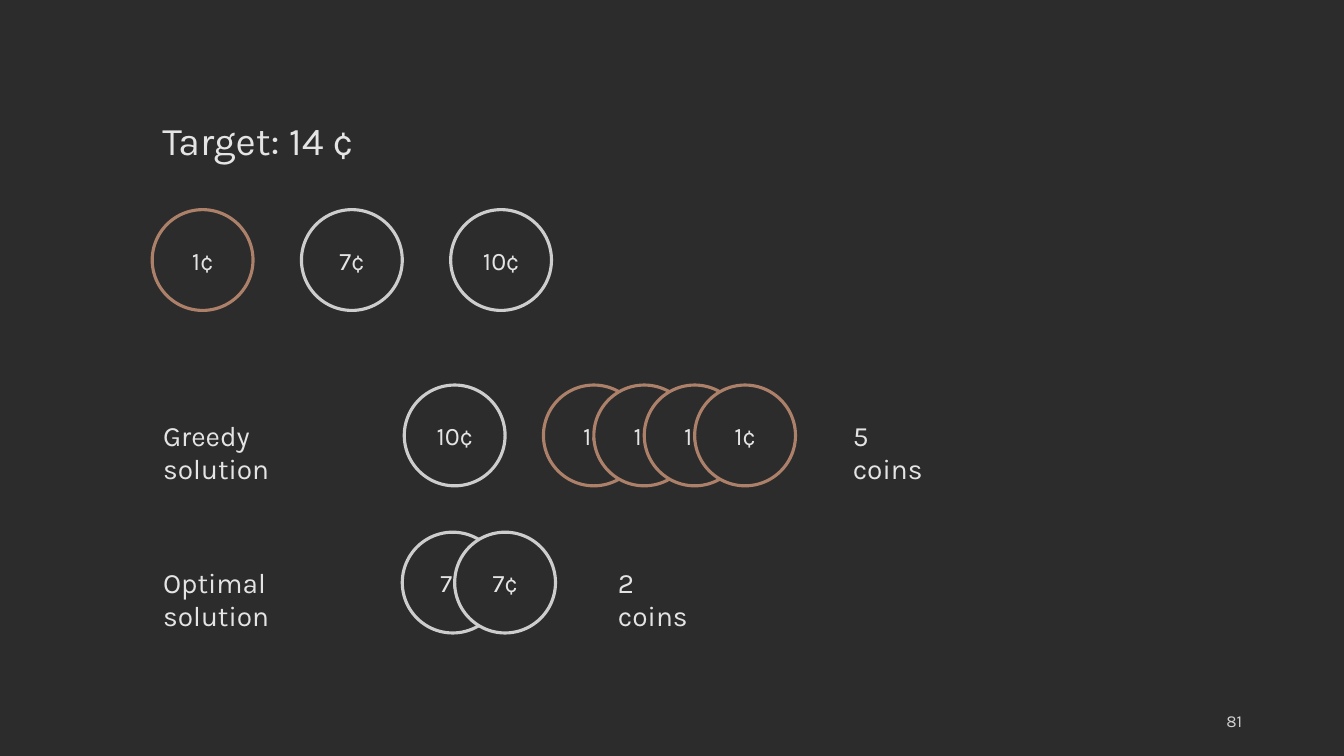
from dataclasses import dataclass

from pptx import Presentation
from pptx.dml.color import RGBColor
from pptx.enum.shapes import MSO_SHAPE
from pptx.enum.text import MSO_ANCHOR, MSO_AUTO_SIZE, PP_ALIGN
from pptx.util import Inches, Pt

# Content: a coin group is (value, count, left, step)
TARGET = "Target: 14 ¢"
PAGE_NUMBER = "81"
DENOMINATIONS = [1, 7, 10]
SOLUTIONS = [
    {"name": "Greedy solution", "name_width": 2.11, "top": 3.82,
     "groups": [(10, 1, 4.01, 0), (1, 4, 5.39, 0.5)],
     "total": "5 coins", "total_left": 8.36},
    {"name": "Optimal solution", "name_width": 2.23, "top": 5.28,
     "groups": [(7, 2, 3.99, 0.52)],
     "total": "2 coins", "total_left": 6.03},
]


@dataclass(frozen=True)
class Theme:
    font: str = "Karla"
    background: str = "2C2C2C"
    text: str = "E4E4E4"
    muted: str = "D1D1D1"
    copper: str = "AD8069"
    silver: str = "CDCDCD"
    title_size: int = 28
    label_size: int = 20
    coin_size: int = 18
    page_size: int = 12
    outline: float = 2.25


THEME = Theme()

# Layout, in inches
COIN = 1
DENOMINATION_LEFT, DENOMINATION_TOP, DENOMINATION_STEP = 1.51, 2.08, 1.48
LABEL_LEFT, LABEL_DROP, LABEL_HEIGHT = 1.52, 0.28, 0.44
TOTAL_WIDTH = 1.07


def color(value):
    return RGBColor.from_string(value)


def write(shape, text, *, size, ink=THEME.text, align=PP_ALIGN.LEFT,
          anchor=MSO_ANCHOR.TOP):
    frame = shape.text_frame
    frame.word_wrap = True
    frame.auto_size = MSO_AUTO_SIZE.NONE
    frame.vertical_anchor = anchor
    paragraph = frame.paragraphs[0]
    paragraph.alignment = align
    run = paragraph.add_run()
    run.text = text
    run.font.name = THEME.font
    run.font.size = Pt(size)
    run.font.color.rgb = color(ink)


def add_label(slide, text, left, top, width, height=LABEL_HEIGHT,
              size=THEME.label_size, **style):
    label = slide.shapes.add_textbox(
        Inches(left), Inches(top), Inches(width), Inches(height))
    write(label, text, size=size, **style)


def add_coin(slide, value, left, top):
    coin = slide.shapes.add_shape(
        MSO_SHAPE.OVAL, Inches(left), Inches(top), Inches(COIN), Inches(COIN))
    coin.shadow.inherit = False
    coin.fill.solid()
    coin.fill.fore_color.rgb = color(THEME.background)
    coin.line.color.rgb = color(THEME.copper if value == 1 else THEME.silver)
    coin.line.width = Pt(THEME.outline)
    write(coin, f"{value}¢", size=THEME.coin_size,
          align=PP_ALIGN.CENTER, anchor=MSO_ANCHOR.MIDDLE)


def main():
    deck = Presentation()
    deck.slide_width, deck.slide_height = Inches(13.33), Inches(7.5)
    slide = deck.slides.add_slide(deck.slide_layouts[5])
    slide.background.fill.solid()
    slide.background.fill.fore_color.rgb = color(THEME.background)

    # Target amount
    target = slide.shapes.title
    target.left, target.top = Inches(1.51), Inches(1.1)
    target.width, target.height = Inches(2.12), Inches(0.57)
    write(target, TARGET, size=THEME.title_size)

    # Available coins
    for i, value in enumerate(DENOMINATIONS):
        add_coin(slide, value, DENOMINATION_LEFT + i * DENOMINATION_STEP,
                 DENOMINATION_TOP)

    # Solutions, with overlapping coins of equal value
    for solution in SOLUTIONS:
        top = solution["top"]
        label_top = top + LABEL_DROP
        add_label(slide, solution["name"], LABEL_LEFT, label_top,
                  solution["name_width"])
        for value, count, left, step in solution["groups"]:
            for i in range(count):
                add_coin(slide, value, left + i * step, top)
        add_label(slide, solution["total"], solution["total_left"], label_top,
                  TOTAL_WIDTH)

    # Page number
    add_label(slide, PAGE_NUMBER, 9.42, 6.95, 3, 0.4, size=THEME.page_size,
              ink=THEME.muted, align=PP_ALIGN.RIGHT, anchor=MSO_ANCHOR.MIDDLE)

    deck.save("out.pptx")


if __name__ == "__main__":
    main()
